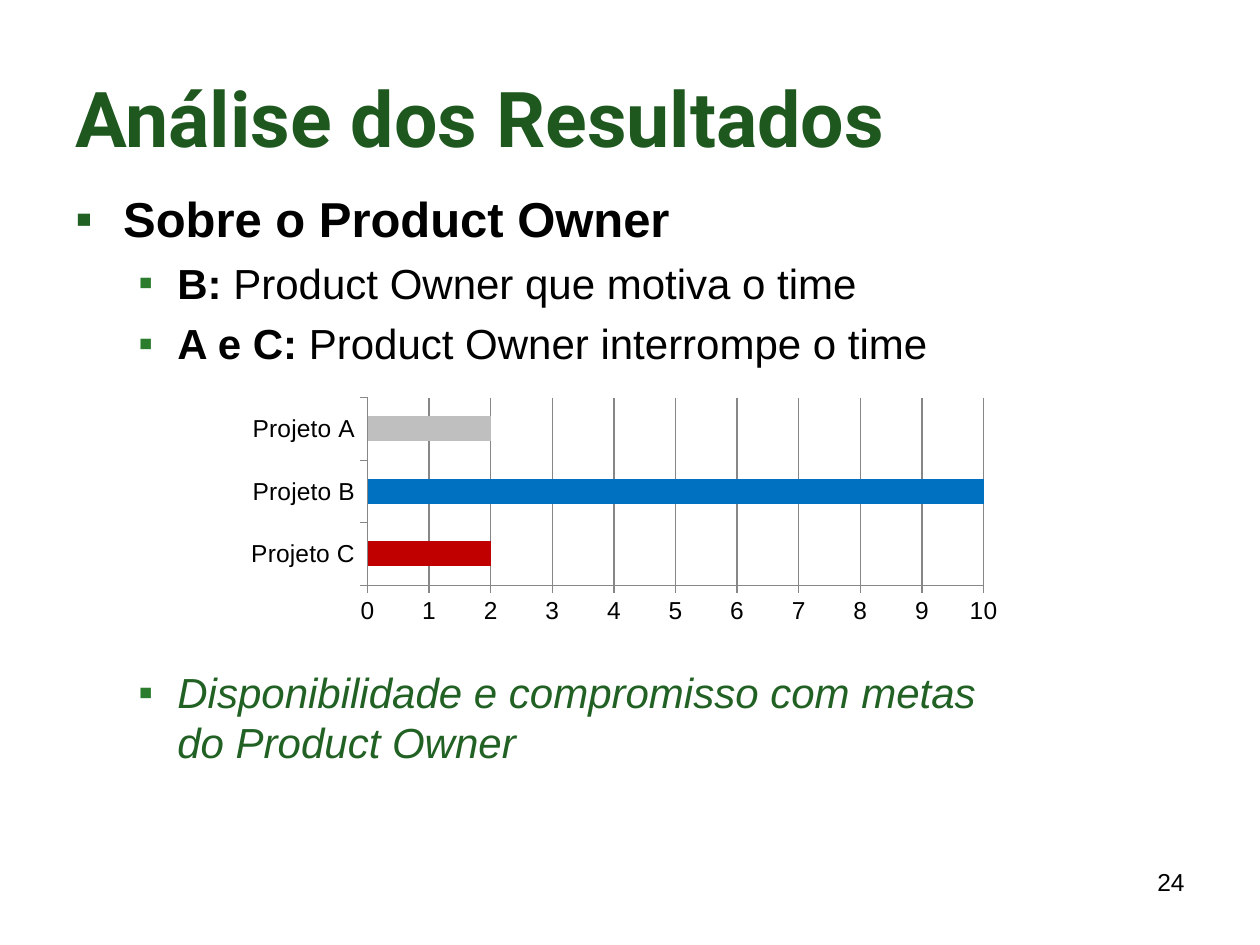
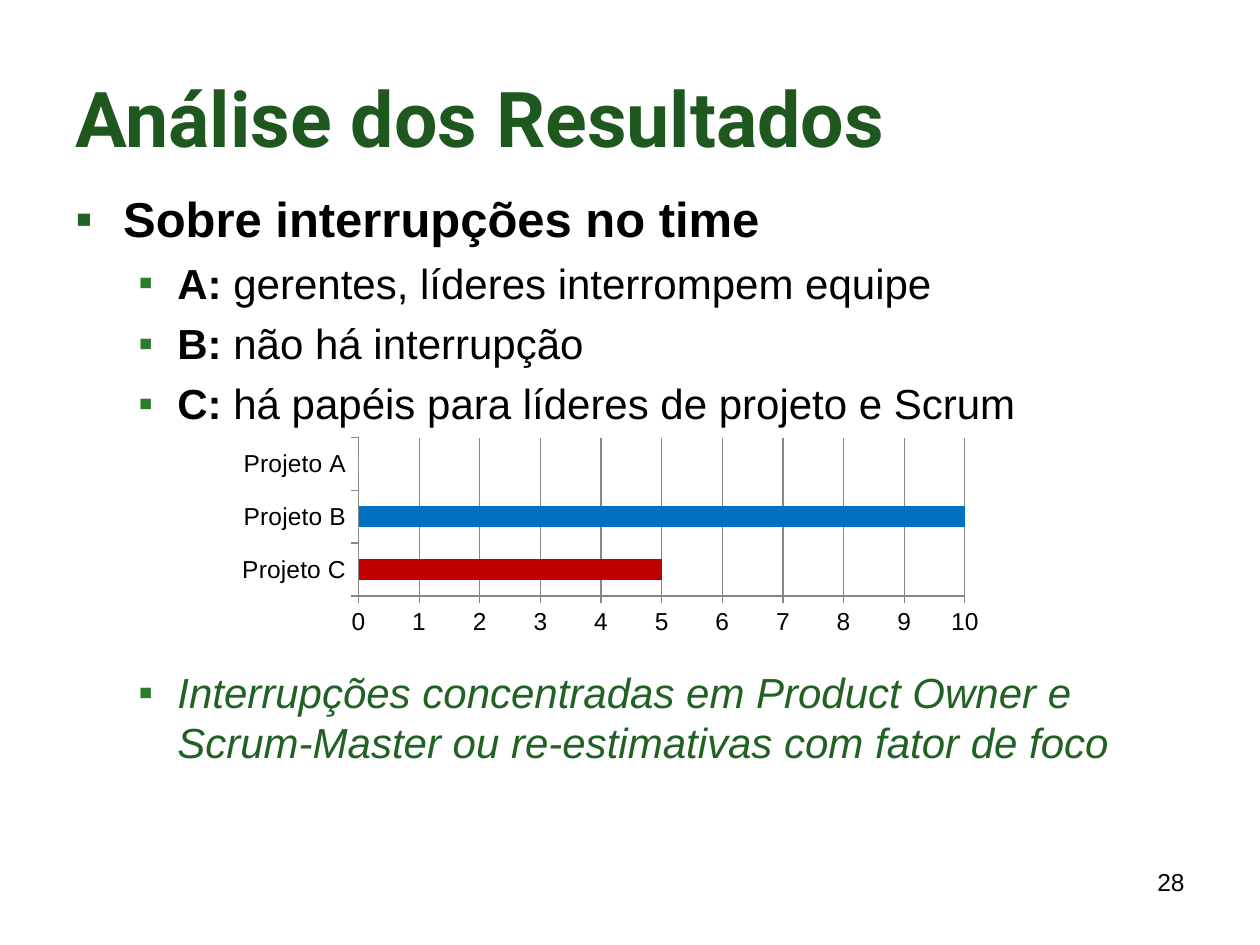
from dataclasses import dataclass

from lxml import etree
from pptx import Presentation
from pptx.chart.data import CategoryChartData
from pptx.dml.color import RGBColor
from pptx.enum import chart as chart_types, text
from pptx.oxml.ns import qn
from pptx.util import Inches, Pt

# Content
TITLE = "Análise dos Resultados"
PROJECTS = ["Projeto C", "Projeto B", "Projeto A"]
SLIDES = [
    {
        "number": "24",
        "topic": "Sobre o Product Owner",
        "findings": [
            ("B: ", "Product Owner que motiva o time"),
            ("A e C: ", "Product Owner interrompe o time"),
        ],
        "scores": [2, 10, 2],
        "chart_box": (1.87, 3.12, 6.17, 1.88),
        "conclusion": "Disponibilidade e compromisso com metas\ndo Product Owner",
    },
    {
        "number": "28",
        "topic": "Sobre interrupções no time",
        "findings": [
            ("A: ", "gerentes, líderes interrompem equipe"),
            ("B: ", "não há interrupção"),
            ("C: ", "há papéis para líderes de projeto e Scrum"),
        ],
        "scores": [5, 10, 0],
        "chart_box": (1.8, 3.44, 6.09, 1.64),
        "conclusion": "Interrupções concentradas em Product Owner e "
                      "Scrum-Master ou re-estimativas com fator de foco",
    },
]


@dataclass(frozen=True)
class Theme:
    title_font: str = "Roboto"
    body_font: str = "Arial"
    title_color: str = "1E581F"
    accent: str = "216123"
    sub_bullet: str = "2B7D2D"
    ink: str = "000000"
    grid: str = "878787"
    series: str = "BBE0E3"
    bars: tuple = ("C00000", "0070C0", "BFBFBF")
    title_size: int = 44
    topic_size: int = 28
    item_size: int = 24
    small_size: int = 14
    item_gap: float = 5.5


THEME = Theme()

# Layout: left, top, width, height in inches
WIDTH, HEIGHT = 10, 7.5
MARGIN = 0.05 * WIDTH
CONTENT_WIDTH = WIDTH - 2 * MARGIN
TITLE_BOX = (MARGIN, 0.3, CONTENT_WIDTH, 1.25)
FINDINGS_BOX = (MARGIN, 1.45, CONTENT_WIDTH, 2)
CONCLUSION_BOX = (MARGIN, 5.24, CONTENT_WIDTH, 1)
NUMBER_BOX = (7.17, 6.83, 2.33, 0.52)
TOPIC_INDENT = (0.38, 0.38)
ITEM_INDENT = (0.81, 0.31)


def rgb(value):
    return RGBColor.from_string(value)


def style(font, size, color=THEME.ink, name=THEME.body_font, bold=None, italic=None):
    font.name, font.size, font.bold, font.italic = name, Pt(size), bold, italic
    font.color.rgb = rgb(color)


def add_text_frame(slide, box, anchor=text.MSO_ANCHOR.TOP):
    frame = slide.shapes.add_textbox(*map(Inches, box)).text_frame
    frame.word_wrap = True
    frame.vertical_anchor = anchor
    return frame


def add_bullet(paragraph, indent, color):
    left, hanging = indent
    properties = paragraph._p.get_or_add_pPr()
    properties.set("marL", str(Inches(left)))
    properties.set("indent", str(-Inches(hanging)))
    bullet_color = etree.SubElement(properties, qn("a:buClr"))
    etree.SubElement(bullet_color, qn("a:srgbClr"), val=color)
    etree.SubElement(properties, qn("a:buFont"), typeface=THEME.body_font)
    etree.SubElement(properties, qn("a:buChar"), char="▪")


def add_findings(slide, topic, findings):
    frame = add_text_frame(slide, FINDINGS_BOX)
    heading = frame.paragraphs[0]
    heading.text = topic
    add_bullet(heading, TOPIC_INDENT, THEME.accent)
    style(heading.font, THEME.topic_size, bold=True)
    for projects, finding in findings:
        paragraph = frame.add_paragraph()
        add_bullet(paragraph, ITEM_INDENT, THEME.sub_bullet)
        paragraph.space_before = Pt(THEME.item_gap)
        style(paragraph.font, THEME.item_size)
        for words, bold in ((projects, True), (finding, False)):
            run = paragraph.add_run()
            run.text = words
            run.font.bold = bold


def add_conclusion(slide, conclusion):
    paragraph = add_text_frame(slide, CONCLUSION_BOX).paragraphs[0]
    paragraph.text = conclusion
    add_bullet(paragraph, ITEM_INDENT, THEME.sub_bullet)
    style(paragraph.font, THEME.item_size, THEME.accent, italic=True)


def add_scores_chart(slide, scores, box):
    data = CategoryChartData()
    data.categories = PROJECTS
    data.add_series("Series 1", scores)
    chart = slide.shapes.add_chart(
        chart_types.XL_CHART_TYPE.BAR_CLUSTERED, *map(Inches, box), data).chart
    chart.has_legend = chart.has_title = False
    style(chart.font, THEME.small_size)

    # Bars coloured by project
    plot = chart.plots[0]
    plot.vary_by_categories = False
    plot.gap_width = 150
    series = plot.series[0]
    series.format.fill.solid()
    series.format.fill.fore_color.rgb = rgb(THEME.series)
    for index, color in enumerate(THEME.bars):
        fill = series.points[index].format.fill
        fill.solid()
        fill.fore_color.rgb = rgb(color)

    # Axes and grid
    scale = chart.value_axis
    scale.minimum_scale, scale.maximum_scale, scale.major_unit = 0, 10, 1
    scale.has_major_gridlines = True
    chart.category_axis.has_major_gridlines = False
    for axis in (scale, chart.category_axis):
        axis.major_tick_mark = chart_types.XL_TICK_MARK.OUTSIDE
        axis.minor_tick_mark = chart_types.XL_TICK_MARK.NONE
    for lines in (scale, chart.category_axis, scale.major_gridlines):
        lines.format.line.color.rgb = rgb(THEME.grid)
        lines.format.line.width = Pt(0.75)


def add_frame(slide, number):
    """Title and page number shared by the slides."""
    title = add_text_frame(slide, TITLE_BOX, text.MSO_ANCHOR.MIDDLE).paragraphs[0]
    title.text = TITLE
    style(title.font, THEME.title_size, THEME.title_color, THEME.title_font, bold=True)
    page = add_text_frame(slide, NUMBER_BOX).paragraphs[0]
    page.text = number
    page.alignment = text.PP_ALIGN.RIGHT
    style(page.font, THEME.small_size)


def main():
    presentation = Presentation()
    presentation.slide_width, presentation.slide_height = Inches(WIDTH), Inches(HEIGHT)
    for content in SLIDES:
        slide = presentation.slides.add_slide(presentation.slide_layouts[6])
        add_frame(slide, content["number"])
        add_findings(slide, content["topic"], content["findings"])
        add_scores_chart(slide, content["scores"], content["chart_box"])
        add_conclusion(slide, content["conclusion"])
    presentation.save("out.pptx")


if __name__ == "__main__":
    main()
